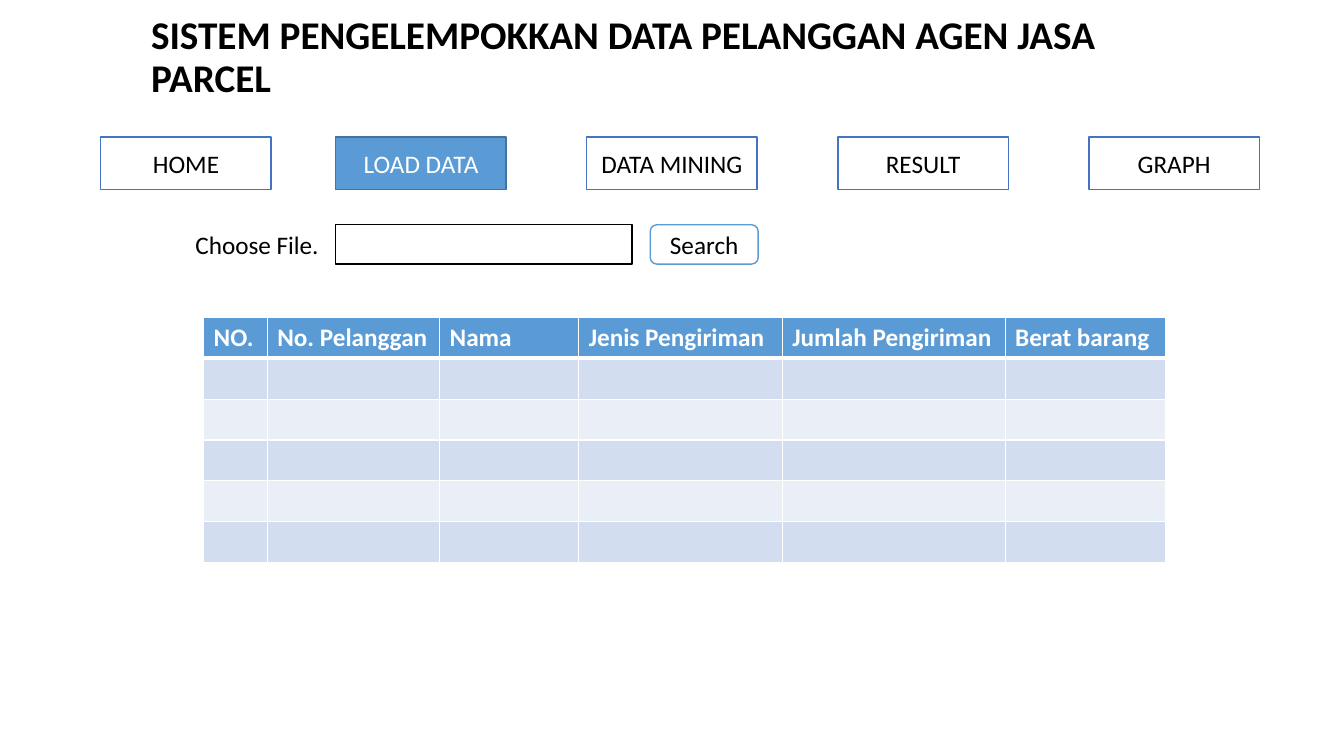
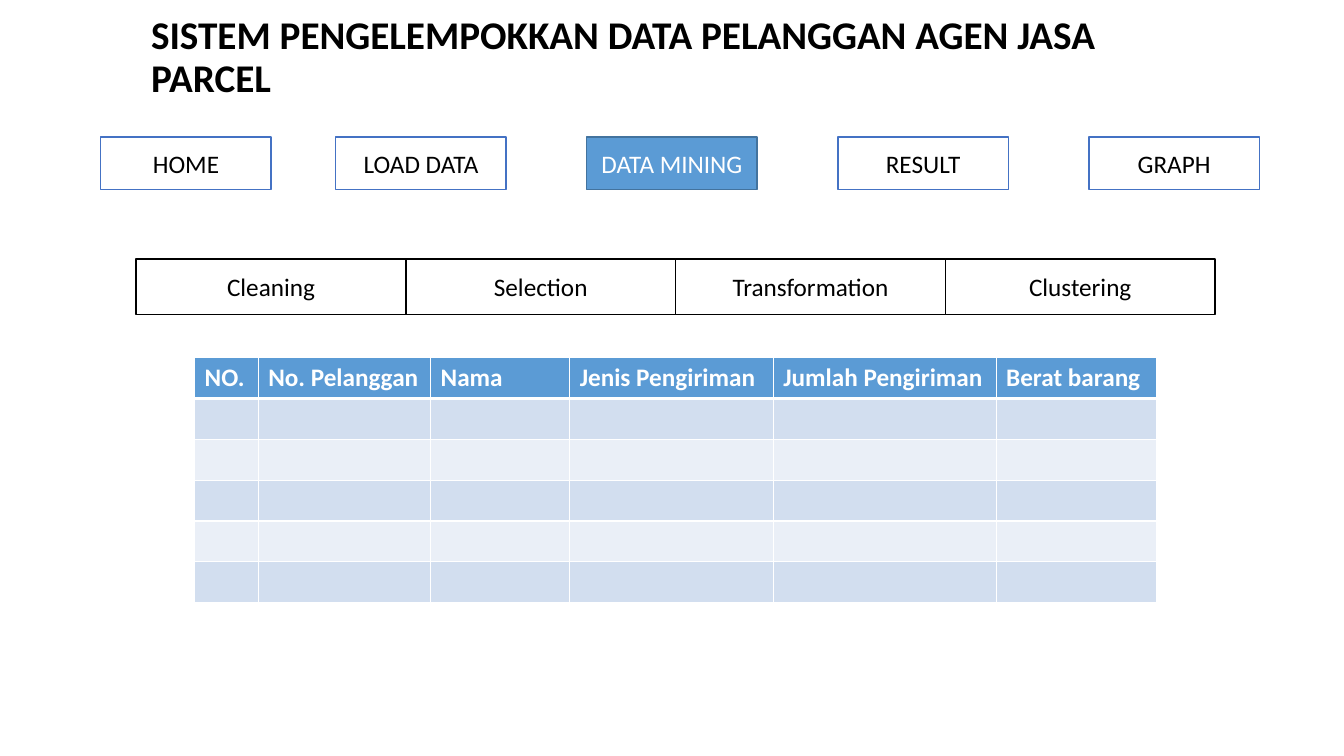
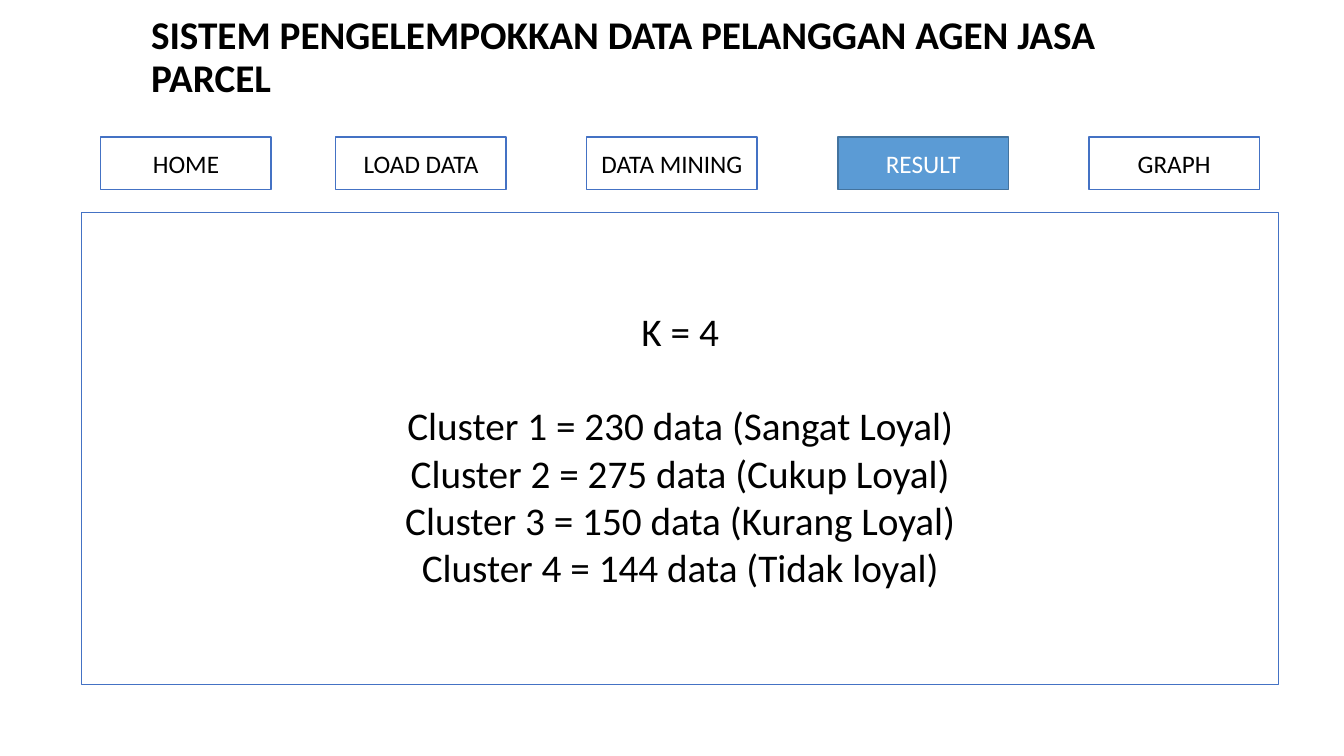
"""Build three screens of a customer clustering system."""
from itertools import accumulate

from lxml.etree import SubElement
from pptx import Presentation
from pptx.dml.color import RGBColor
from pptx.enum.shapes import MSO_SHAPE
from pptx.enum.text import MSO_ANCHOR, MSO_AUTO_SIZE, PP_ALIGN
from pptx.oxml.ns import qn
from pptx.util import Inches, Pt

WHITE = RGBColor(0xFF, 0xFF, 0xFF)
BLACK = RGBColor(0, 0, 0)
BLUE = RGBColor(0x5B, 0x9B, 0xD5)
EDGE = RGBColor(0x44, 0x72, 0xC4)
DARK = RGBColor(0x43, 0x73, 0x9E)
BANDS = RGBColor(0xD2, 0xDE, 0xEF), RGBColor(0xEA, 0xEF, 0xF7)

FONT = "Calibri"
TITLE = "SISTEM PENGELEMPOKKAN DATA PELANGGAN AGEN JASA PARCEL"
MENU = ["HOME", "LOAD DATA", "DATA MINING", "RESULT", "GRAPH"]
STEPS = ["Cleaning", "Selection", "Transformation", "Clustering"]
HEADS = {"NO.": 4.73, "No. Pelanggan": 12.83, "Nama": 10.35,
         "Jenis Pengiriman": 15.15, "Jumlah Pengiriman": 16.58,
         "Berat barang": 11.93}
LEVELS = {"Sangat Loyal": 230, "Cukup Loyal": 275,
          "Kurang Loyal": 150, "Tidak loyal": 144}

deck = Presentation()
deck.slide_width, deck.slide_height = Inches(13.33), Inches(7.5)


def wide(share):
    """Turn a percentage of the slide width into a length."""
    return int(deck.slide_width * share / 100)


def high(share):
    """Turn a percentage of the slide height into a length."""
    return int(deck.slide_height * share / 100)


def area(box):
    """Turn a box in percentages into four lengths."""
    left, top, width, height = box
    return wide(left), high(top), wide(width), high(height)


def write(para, text, size=18, color=BLACK, bold=False):
    """Add one run to a paragraph."""
    run = para.add_run()
    run.text = text
    run.font.name, run.font.size = FONT, Pt(size)
    run.font.bold, run.font.color.rgb = bold, color


def panel(slide, box, lines=(), fill=WHITE, line=BLACK, color=BLACK,
          size=18, kind=MSO_SHAPE.RECTANGLE):
    """Draw an outlined shape with centred lines of text."""
    shape = slide.shapes.add_shape(kind, *area(box))
    shape.shadow.inherit = False
    shape.fill.solid()
    shape.fill.fore_color.rgb = fill
    shape.line.color.rgb, shape.line.width = line, Pt(1)
    frame = shape.text_frame
    frame.word_wrap, frame.vertical_anchor = True, MSO_ANCHOR.MIDDLE
    for i, text in enumerate(lines):
        para = frame.add_paragraph() if i else frame.paragraphs[0]
        para.alignment = PP_ALIGN.CENTER
        write(para, text, size, color)
    return shape


def label(slide, box):
    """Add an empty text box and return its frame."""
    return slide.shapes.add_textbox(*area(box)).text_frame


def title(slide, box):
    """Write the system title."""
    frame = label(slide, box)
    frame.word_wrap, frame.vertical_anchor = True, MSO_ANCHOR.MIDDLE
    para = frame.paragraphs[0]
    para.line_spacing = 0.9
    write(para, TITLE, 28, bold=True)


def menu(slide, box, active):
    """Draw the menu buttons, with the active one filled."""
    left, top, width, height = box
    step, button = 18.68, 12.68
    last = left + width - button
    for i, name in enumerate(MENU):
        spot = last - step * (len(MENU) - 1 - i) if i else left
        look = (BLUE, DARK, WHITE) if name == active else (WHITE, EDGE, BLACK)
        panel(slide, (spot, top, button, height), [name], *look)


def screen(active):
    """Start a slide with the shared title and menu."""
    slide = deck.slides.add_slide(deck.slide_layouts[6])
    title(slide, (10.5, 2.13, 78.9, 11.2))
    menu(slide, (7.5, 18.13, 86.2, 6.93), active)
    return slide


def picker(slide, box):
    """Draw the file field with its label and search button."""
    left, top, width, height = box
    panel(slide, (left + 11.18, top, 22.05, height))
    frame = label(slide, (left, top, 10.8, height))
    frame.word_wrap = False
    frame.auto_size = MSO_AUTO_SIZE.SHAPE_TO_FIT_TEXT
    write(frame.paragraphs[0], "Choose File.")
    button = 8.03
    panel(slide, (left + width - button, top, button, height), ["Search"],
          line=BLUE, kind=MSO_SHAPE.ROUNDED_RECTANGLE)


def steps(slide, box):
    """Draw the mining steps side by side."""
    left, top, width, height = box
    part = width / len(STEPS)
    for i, name in enumerate(STEPS):
        panel(slide, (left + i * part, top, part, height), [name])


def border(cell, foot):
    """Give a cell white borders, the lower one foot points wide."""
    props = cell._tc.get_or_add_tcPr()
    for tag, width in zip(("lnL", "lnR", "lnT", "lnB"), (1, 1, 1, foot)):
        line = SubElement(props, qn("a:" + tag), w=str(Pt(width)))
        fill = SubElement(line, qn("a:solidFill"))
        SubElement(fill, qn("a:srgbClr"), val=str(WHITE))


def grid(slide, box):
    """Draw the customer table with banded empty rows."""
    rows = 6
    table = slide.shapes.add_table(rows, len(HEADS), *area(box)).table
    ends = [wide(end) for end in accumulate(HEADS.values())]
    for col, start, end in zip(table.columns, [0] + ends, ends):
        col.width = end - start
    for r, row in enumerate(table.rows):
        row.height = high(box[3] / rows)
        for cell, head in zip(row.cells, HEADS):
            border(cell, 1 if r else 3)
            cell.fill.solid()
            cell.fill.fore_color.rgb = BANDS[(r - 1) % 2] if r else BLUE
            if not r:
                write(cell.text_frame.paragraphs[0], head, 18, WHITE, True)


def result(slide, box):
    """Show the number of clusters and the size of each."""
    lines = [f"K = {len(LEVELS)}"]
    lines += [f"Cluster {i} = {count} data ({name})"
              for i, (name, count) in enumerate(LEVELS.items(), 1)]
    shape = panel(slide, box, lines, line=EDGE, size=28)
    shape.text_frame.paragraphs[0].space_after = Pt(34)


load = screen("LOAD DATA")
picker(load, (13.8, 29.73, 42.61, 5.2))
grid(load, (15.15, 42, 71.57, 32.4))

mining = screen("DATA MINING")
steps(mining, (10.13, 34.27, 80.28, 7.33))
grid(mining, (14.48, 47.33, 71.57, 32.4))

result(screen("RESULT"), (6.08, 28.13, 89.05, 62.4))

deck.save("out.pptx")
